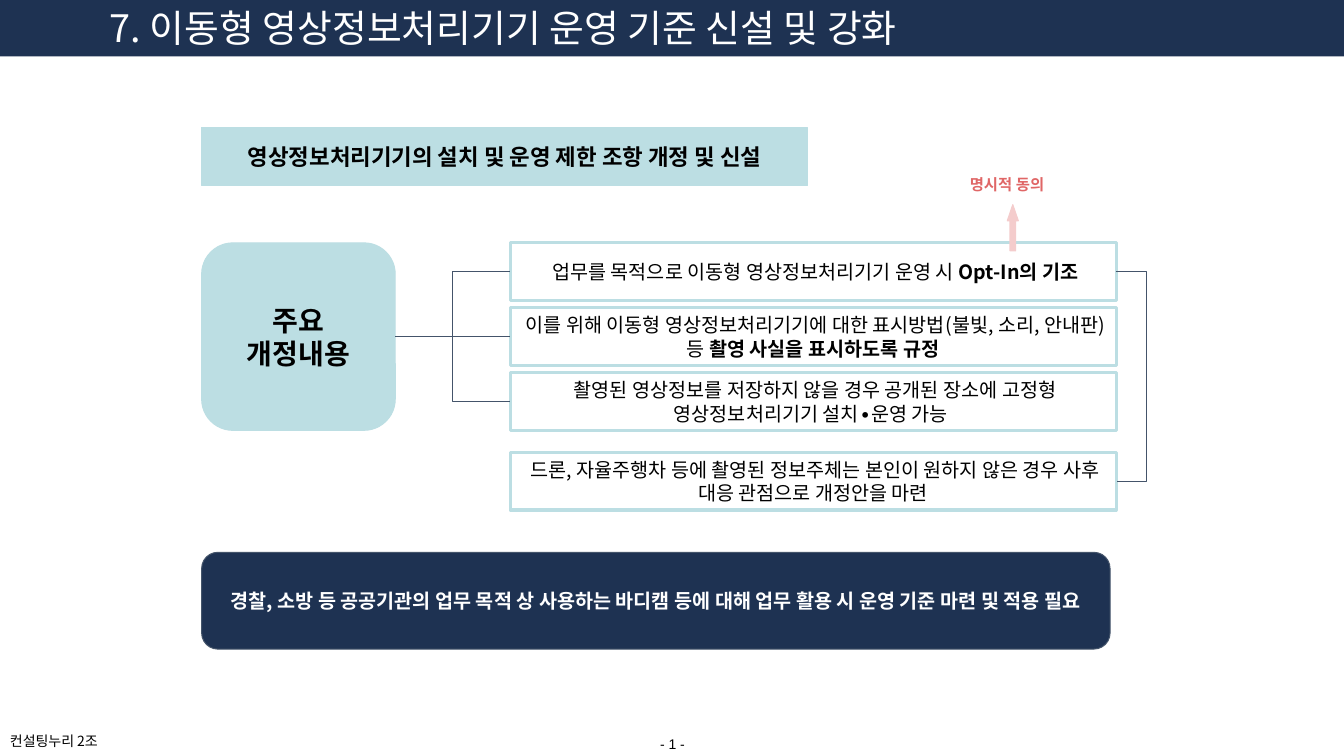
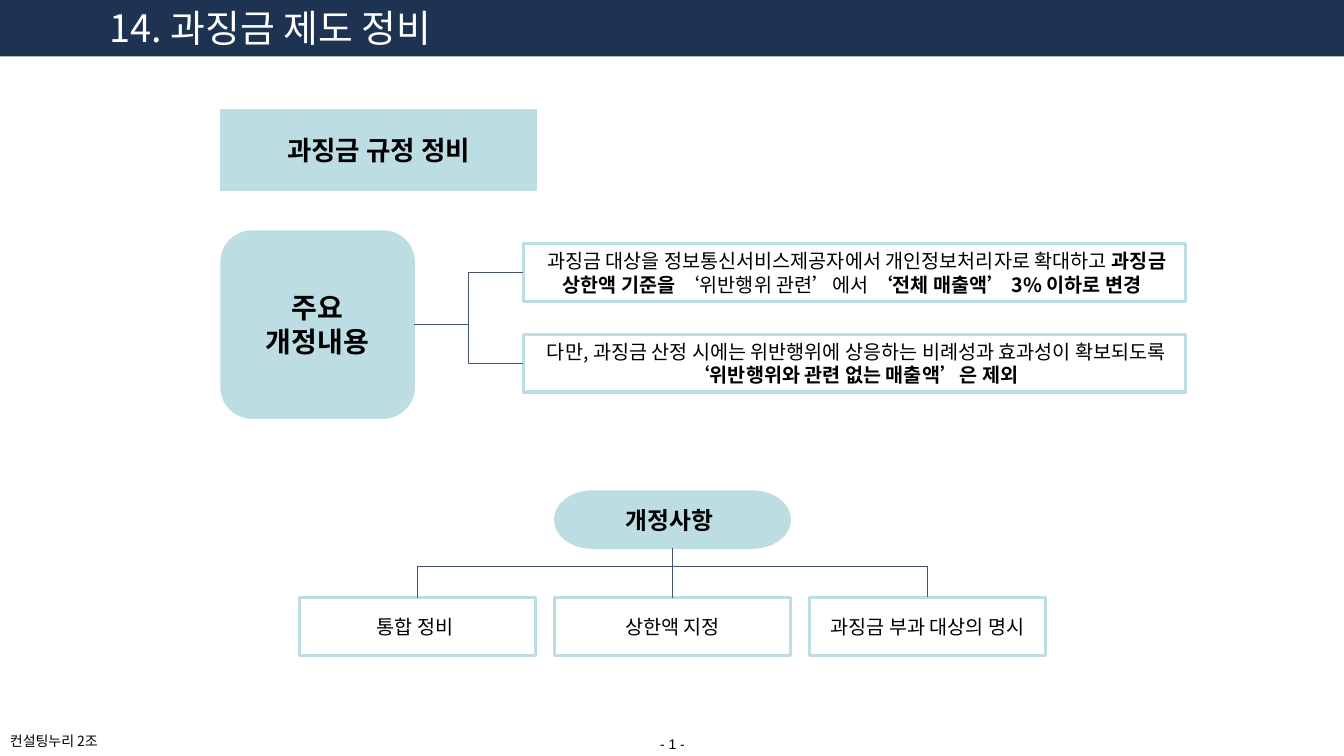
from dataclasses import dataclass

from lxml import etree
from pptx import Presentation
from pptx.dml.color import RGBColor
from pptx.enum import shapes, text
from pptx.oxml import ns
from pptx.util import Inches, Pt

GEO = shapes.MSO_SHAPE
LINK = shapes.MSO_CONNECTOR
ALIGN = text.PP_ALIGN
ANCHOR = text.MSO_ANCHOR


@dataclass(frozen=True)
class Theme:
    navy: str = "1E3252"
    aqua: str = "BCDEE3"
    slate: str = "44546A"
    white: str = "FFFFFF"
    black: str = "000000"
    pink: str = "F4CCCC"
    red: str = "E06666"
    font: str = "Noto Sans CJK KR"
    number_font: str = "Arial"
    title: int = 27
    key: int = 20
    heading: int = 19
    topic: int = 17
    subject: int = 16
    body: int = 14
    note: int = 11
    footer: int = 10
    thin: float = 0.75
    thick: float = 2.25
    slide_w: float = 13.33
    slide_h: float = 7.5
    box_h: float = 0.57


T = Theme()


def rgb(value):
    return RGBColor.from_string(value)


def write(sp, runs, size, color=T.black, align=ALIGN.CENTER, anchor=ANCHOR.MIDDLE,
          inset=0.1, font=T.font):
    tf = sp.text_frame
    tf.word_wrap = True
    tf.auto_size = text.MSO_AUTO_SIZE.NONE
    tf.vertical_anchor = anchor
    tf.margin_left = tf.margin_right = Inches(0.1)
    tf.margin_top = tf.margin_bottom = Inches(inset)
    p = tf.paragraphs[0]
    p.alignment = align
    for words, bold in runs:
        r = p.add_run()
        r.text = words
        r.font.name = font
        r.font.size = Pt(size)
        r.font.bold = bold
        r.font.color.rgb = rgb(color)
        ea = etree.SubElement(r.font._element, ns.qn("a:ea"))
        ea.set("typeface", font)


def add_box(s, box, fill, line=None, width=T.thin, geometry=GEO.RECTANGLE):
    sp = s.shapes.add_shape(geometry, *map(Inches, box))
    sp.shadow.inherit = False
    sp.fill.solid()
    sp.fill.fore_color.rgb = rgb(fill)
    if line:
        sp.line.color.rgb = rgb(line)
        sp.line.width = Pt(width)
    else:
        sp.line.fill.background()
    return sp


def add_label(s, box, runs, size, **style):
    sp = s.shapes.add_textbox(*map(Inches, box))
    write(sp, runs, size, anchor=ANCHOR.TOP, **style)
    return sp


def aqua_box(s, box, words, size, geometry=GEO.RECTANGLE):
    sp = add_box(s, box, T.aqua, T.aqua, geometry=geometry)
    write(sp, [(words, True)], size)
    return sp


def outline_box(s, box, runs):
    sp = add_box(s, box, T.white, T.aqua, T.thick)
    write(sp, runs, T.body)
    return sp


def add_line(s, kind, x1, y1, x2, y2):
    c = s.shapes.add_connector(kind, *map(Inches, (x1, y1, x2, y2)))
    c.line.color.rgb = rgb(T.slate)
    c.line.width = Pt(T.thin)
    etree.SubElement(c.element.spPr, ns.qn("a:effectLst"))
    return c


def join(s, kind, start, start_side, end, end_side):
    c = add_line(s, kind, 0, 0, 1, 1)
    c.begin_connect(start, start_side)
    c.end_connect(end, end_side)


def add_bracket(s, cx, cy, span, depth, turn=0):
    width = 0.01
    c = add_line(s, LINK.ELBOW, cx - width / 2, cy - span / 2,
                 cx + width / 2, cy + span / 2)
    spPr = c.element.spPr
    spPr.find(ns.qn("a:xfrm")).set("rot", str(turn * 60000))
    guide = etree.SubElement(spPr.find(".//" + ns.qn("a:avLst")), ns.qn("a:gd"))
    guide.set("name", "adj1")
    guide.set("fmla", f"val {round(depth / width * 100000)}")


def key_changes(s, left, top, box_left, box_width, rows):
    key = aqua_box(s, (left, top, 1.92, 1.86), "주요 개정내용", T.key,
                   GEO.ROUNDED_RECTANGLE)
    middle = top + 1.86 / 2
    for row_top, runs in rows:
        row = outline_box(s, (box_left, row_top, box_width, T.box_h), runs)
        level = abs(row_top + T.box_h / 2 - middle) < 0.02
        join(s, LINK.STRAIGHT if level else LINK.ELBOW, key, 3, row, 1)


def consent_note(s, left, top):
    arrow = add_box(s, (left + 0.47, top + 0.39, 0.11, 0.46), T.pink, T.pink,
                    geometry=GEO.UP_ARROW)
    arrow.adjustments[0] = 0.5
    arrow.adjustments[1] = 1.465
    add_label(s, (left, top, 1.35, 0.2), [("명시적 동의", True)], T.note,
              color=T.red, align=ALIGN.LEFT)


def topic_tree(s, left, top, topic, items):
    width, gap, drop = 2.34, 0.19, 1.06
    pitch = width + gap
    root = aqua_box(s, (left + pitch, top, width, T.box_h), topic, T.topic,
                    GEO.FLOWCHART_TERMINATOR)
    leaves = [outline_box(s, (left + i * pitch, top + drop, width, T.box_h),
                          [(item, False)]) for i, item in enumerate(items)]
    join(s, LINK.STRAIGHT, root, 2, leaves[1], 0)
    add_bracket(s, left + pitch + width / 2, top + drop, 2 * pitch, -0.31, 90)


def share_frame(s, layout):
    band = add_box(s, (0, 0, T.slide_w, 0.56), T.navy)
    team = add_label(s, (0, 7.17, 1.41, 0.37), [("컨설팅누리 2조", False)],
                     T.footer, align=ALIGN.LEFT)
    number = add_label(s, (6.27, 7.25, 0.8, 0.29), [("- 1 -", False)], T.footer,
                       inset=0.05, font=T.number_font)
    for i, sp in enumerate((band, team, number)):
        sp.element.xpath(".//p:cNvPr")[0].set("id", str(101 + i))
        layout.shapes.element.insert(2 + i, sp.element)


def titled_slide(prs, title):
    s = prs.slides.add_slide(prs.slide_layouts[5])
    sp = s.shapes.title
    sp.left, sp.top, sp.width, sp.height = map(Inches, (0.99, 0, 11.57, T.box_h))
    write(sp, [(title, False)], T.title, T.white, ALIGN.LEFT, ANCHOR.TOP, 0.05)
    return s


def camera_slide(prs):
    s = titled_slide(prs, "7. 이동형 영상정보처리기기 운영 기준 신설 및 강화")
    left, top, box_left, box_width = 2, 2.41, 5.06, 6.01
    aqua_box(s, (left, 1.27, box_width, T.box_h),
             "영상정보처리기기의 설치 및 운영 제한 조항 개정 및 신설", T.subject)
    rows = [
        [(" 업무를 목적으로 이동형 영상정보처리기기 운영 시 ", False),
         ("Opt-In의 기조", True)],
        [(" 이를 위해 이동형 영상정보처리기기에 대한 표시방법(불빛, 소리, 안내판) 등 ", False),
         ("촬영 사실을 표시하도록 규정", True)],
        [(" 촬영된 영상정보를 저장하지 않을 경우 공개된 장소에 고정형 "
          "영상정보처리기기 설치∙운영 가능 ", False)],
    ]
    key_changes(s, left, top, box_left, box_width,
                [(top + i * 0.645, runs) for i, runs in enumerate(rows)])
    follow_up = 4.49
    outline_box(s, (box_left, follow_up, box_width, T.box_h),
                [(" 드론, 자율주행차 등에 촬영된 정보주체는 본인이 원하지 않은 경우 "
                  "사후 대응 관점으로 개정안을 마련", False)])
    add_bracket(s, box_left + box_width, (top + follow_up + T.box_h) / 2,
                follow_up - top, 0.31)
    consent_note(s, 9.52, 1.64)
    need = add_box(s, (left, 5.48, 9.01, 0.96), T.navy, T.slate,
                   geometry=GEO.ROUNDED_RECTANGLE)
    write(need, [("경찰, 소방 등 공공기관의 업무 목적 상 사용하는 바디캠 등에 대해 "
                  "업무 활용 시 운영 기준 마련 및 적용 필요", True)], T.body, T.white)
    return s


def penalty_slide(prs):
    s = titled_slide(prs, "14. 과징금 제도 정비")
    left = 2.19
    aqua_box(s, (left, 1.09, 3.13, 0.8), "과징금 규정 정비", T.heading)
    rows = [
        (2.42, [(" 과징금 대상을 정보통신서비스제공자에서 개인정보처리자로 확대하고 ", False),
                ("과징금 상한액 기준을", True),
                (" ‘위반행위 관련’에서 ", False),
                ("‘전체 매출액’ 3% 이하로 변경 ", True)]),
        (3.32, [(" 다만, 과징금 산정 시에는 위반행위에 상응하는 비례성과 효과성이 "
                 "확보되도록 ", False),
                ("‘위반행위와 관련 없는 매출액’은 제외", True)]),
    ]
    key_changes(s, left, 2.29, 5.19, 6.57, rows)
    topic_tree(s, 2.97, 4.87, "개정사항 ",
               ["통합 정비 ", "상한액 지정", "과징금 부과 대상의 명시"])
    return s


def main():
    prs = Presentation()
    prs.slide_width = Inches(T.slide_w)
    prs.slide_height = Inches(T.slide_h)
    s = camera_slide(prs)
    share_frame(s, s.slide_layout)
    penalty_slide(prs)
    prs.save("out.pptx")


if __name__ == "__main__":
    main()
